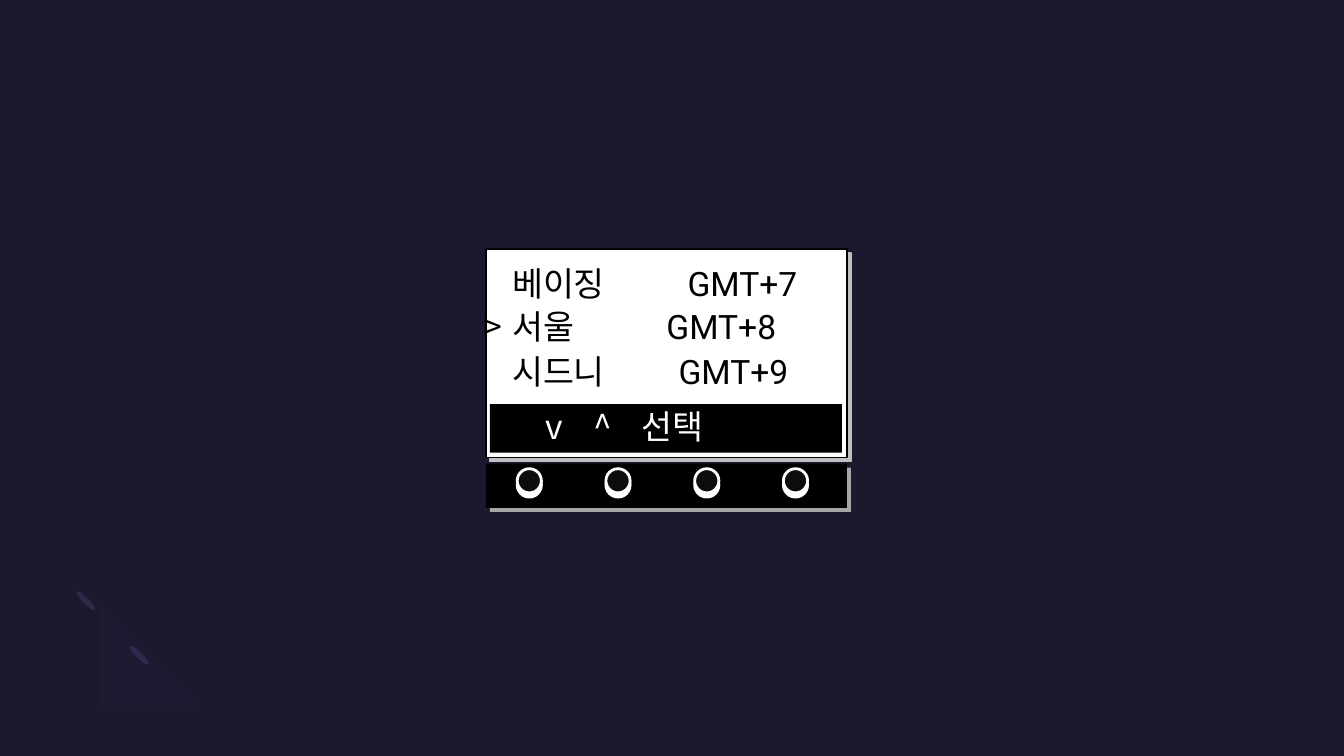
"""Build a slide with a time-zone menu on a small device display."""
from lxml import etree
from pptx import Presentation
from pptx.dml.color import RGBColor
from pptx.enum.shapes import MSO_SHAPE
from pptx.oxml.ns import qn
from pptx.util import Inches, Pt

KOREAN, LATIN = "Noto Sans CJK KR", "Roboto"
ZONES = [
    ("", "베이징", "GMT+7", 2.56, 6.82),
    (">", "서울", "GMT+8", 2.99, 6.61),
    ("", "시드니", "GMT+9", 3.43, 6.73),
]
KEYS = [("v", 5.41), ("^", 5.89), ("선택", 6.36)]
KEYS_TOP = 3.98
TEXT_LEFT, TEXT_WIDTH, NAME_LEFT = 4.8, 3.6, 5.08
BUTTON_LEFT, BUTTON_TOP, BUTTON_SIZE, BUTTON_STEP, BUTTON_COUNT = 5.13, 4.65, 0.24, 0.88, 4
ARC_START = (0.76, 6.59)
ARC = [
    [(0.56, 6.39), (0.58, 6.05), (0.81, 5.82)],
    [(0.99, 6.0)],
    [(0.87, 6.11), (0.86, 6.29), (0.96, 6.38)],
    [(1.06, 6.48), (1.23, 6.47), (1.35, 6.36)],
    [(1.52, 6.54)],
    [(1.3, 6.76), (0.95, 6.79), (0.76, 6.59)],
]
ARC_ENDS = [(1.35, 6.37), (0.82, 5.83)]


def color(value):
    return RGBColor.from_string(value)


def paint(shape, fill, line=None, width=1):
    shape.shadow.inherit = False
    shape.fill.solid()
    shape.fill.fore_color.rgb = color(fill)
    if line:
        shape.line.color.rgb = color(line)
        shape.line.width = Pt(width)
    else:
        shape.line.fill.background()
    return shape


def add_shape(page, kind, bounds, fill, line=None, width=1):
    shape = page.shapes.add_shape(kind, *[Inches(length) for length in bounds])
    return paint(shape, fill, line, width)


def cast_shadow(shape, value, distance, angle):
    effects = shape._element.spPr.find(qn("a:effectLst"))
    shadow = etree.SubElement(effects, qn("a:outerShdw"), dist=str(Pt(distance)),
                              dir=str(angle * 60000), algn="tl", rotWithShape="0")
    etree.SubElement(shadow, qn("a:srgbClr"), val=value)


def curve(start, points, steps=12):
    if len(points) == 1:
        return points
    anchors = [start, *points]
    weights = (1, 3, 3, 1)
    return [
        tuple(sum(weights[k] * (1 - t) ** (3 - k) * t ** k * anchors[k][axis] for k in range(4))
              for axis in (0, 1))
        for t in (step / steps for step in range(1, steps + 1))
    ]


def add_arc(page):
    outline, last = [], ARC_START
    for points in ARC:
        outline += curve(last, points)
        last = points[-1]
    builder = page.shapes.build_freeform(*ARC_START, scale=Inches(1))
    builder.add_line_segments(outline, close=True)
    arc = paint(builder.convert_to_shape(), "7771B2")
    tint = arc._element.spPr.find(qn("a:solidFill"))[0]
    etree.SubElement(tint, qn("a:alpha"), val="3000")


def add_line(page, top, pieces, stops, value):
    box = page.shapes.add_textbox(Inches(TEXT_LEFT), Inches(top), Inches(TEXT_WIDTH), Inches(0.5))
    frame = box.text_frame
    frame.word_wrap = True
    frame.margin_left = 0
    para = frame.paragraphs[0]
    tabs = etree.SubElement(para._p.get_or_add_pPr(), qn("a:tabLst"))
    for stop in stops:
        etree.SubElement(tabs, qn("a:tab"), pos=str(Inches(stop - TEXT_LEFT)), algn="l")
    for text, font in pieces:
        span = para.add_run()
        span.text = text
        span.font.size = Pt(24)
        span.font.name = font
        span.font.color.rgb = color(value)
        etree.SubElement(span._r.get_or_add_rPr(), qn("a:ea"), typeface=font)


def main():
    deck = Presentation()
    deck.slide_width, deck.slide_height = Inches(13.33), Inches(7.5)
    page = deck.slides.add_slide(deck.slide_layouts[6])
    page.background.fill.solid()
    page.background.fill.fore_color.rgb = color("1B192E")

    for left, top in ARC_ENDS:
        end = add_shape(page, MSO_SHAPE.OVAL, (left, top, 0.06, 0.26), "2C284A")
        end.rotation = 135
    add_arc(page)

    display = add_shape(page, MSO_SHAPE.RECTANGLE, (4.82, 2.47, 3.58, 2.07), "FFFFFF", "000000")
    cast_shadow(display, "BFBFBF", 4, 45)
    add_shape(page, MSO_SHAPE.RECTANGLE, (4.86, 4.01, 3.49, 0.48), "000000")
    key_pieces = [("\t" + label, KOREAN) for label, _ in KEYS]
    add_line(page, KEYS_TOP, key_pieces, [stop for _, stop in KEYS], "FFFFFF")
    for marker, city, zone, top, zone_left in ZONES:
        pieces = [(marker + "\t" + city + "\t", KOREAN), (zone, LATIN)]
        add_line(page, top, pieces, [NAME_LEFT, zone_left], "000000")

    panel = add_shape(page, MSO_SHAPE.RECTANGLE, (4.82, 4.6, 3.58, 0.44), "000000")
    cast_shadow(panel, "A6A6A6", 4, 45)
    for index in range(BUTTON_COUNT):
        bounds = (BUTTON_LEFT + index * BUTTON_STEP, BUTTON_TOP, BUTTON_SIZE, BUTTON_SIZE)
        button = add_shape(page, MSO_SHAPE.OVAL, bounds, "0D0D0D", "FFFFFF", 2)
        cast_shadow(button, "FFFFFF", 3, 90)

    deck.save("out.pptx")


if __name__ == "__main__":
    main()
